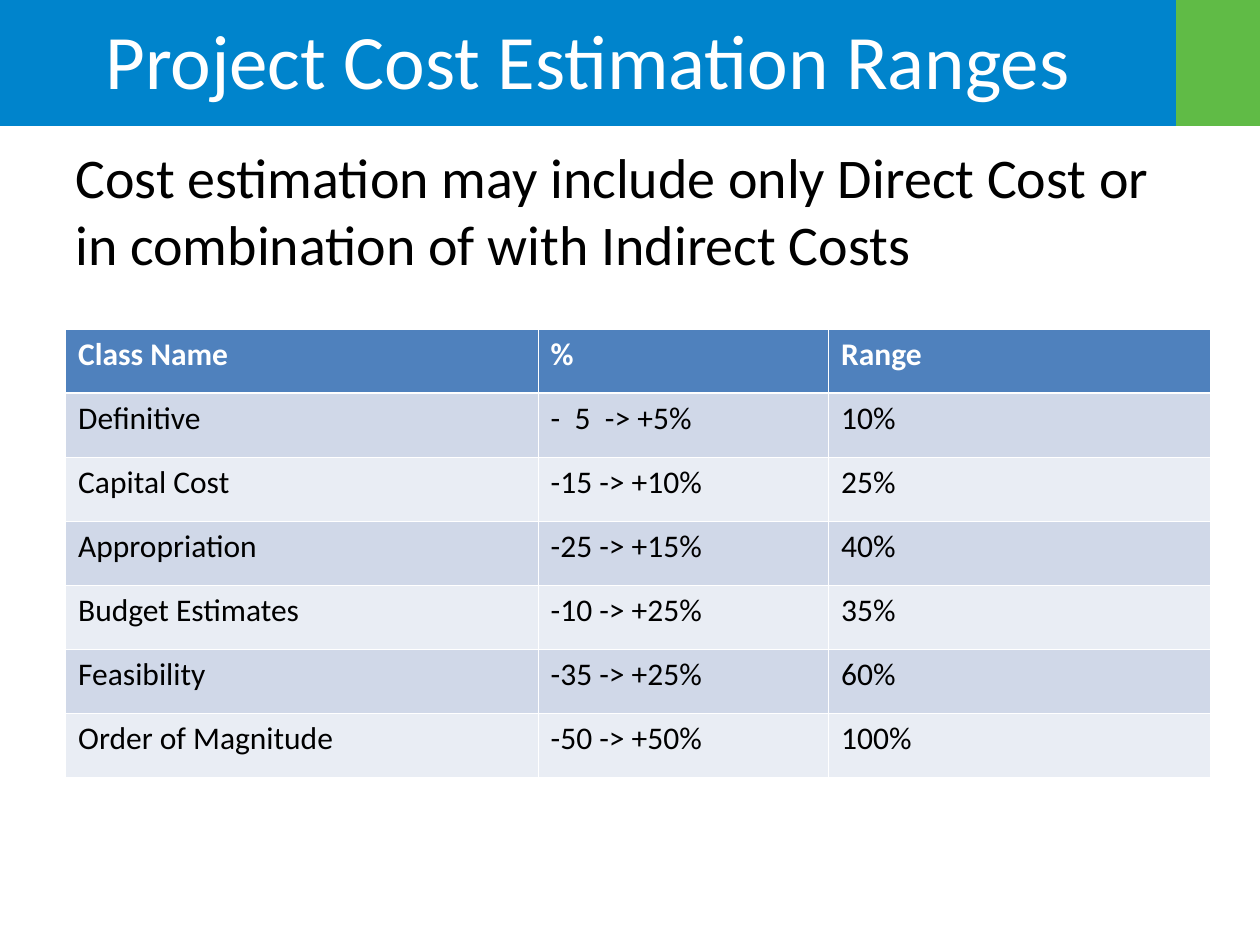
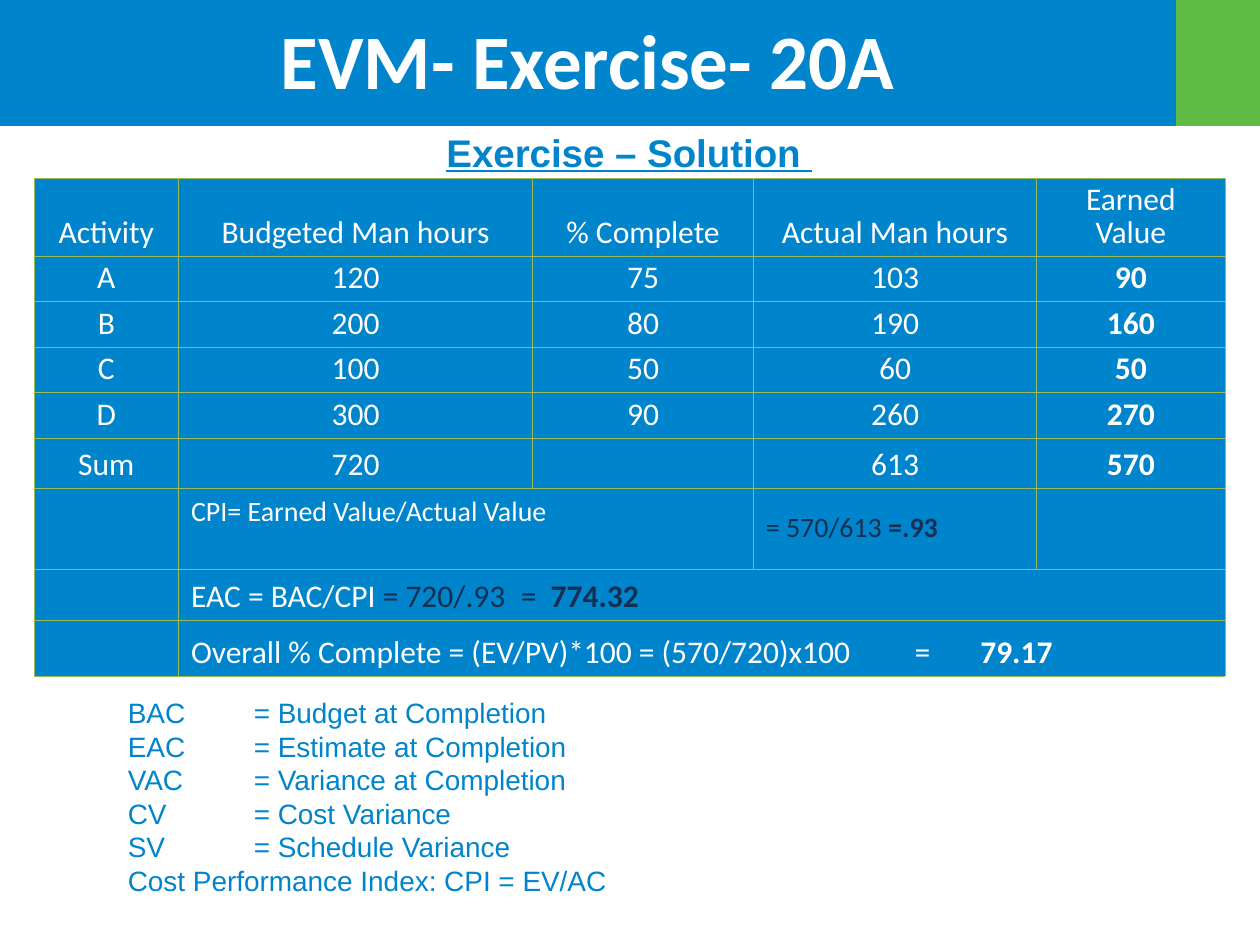
from dataclasses import dataclass

from lxml import etree
from pptx import Presentation
from pptx import util as u
from pptx.dml.color import RGBColor
from pptx.enum import shapes, text
from pptx.oxml import ns

Pt = u.Pt
LEFT, CENTER = text.PP_ALIGN.LEFT, text.PP_ALIGN.CENTER
TOP, MIDDLE, BOTTOM = text.MSO_ANCHOR.TOP, text.MSO_ANCHOR.MIDDLE, text.MSO_ANCHOR.BOTTOM


@dataclass(frozen=True)
class Theme:
    blue: str = "0084CC"
    green: str = "60BB46"
    white: str = "FFFFFF"
    black: str = "000000"
    navy: str = "142F51"
    header: str = "4F81BD"
    band_dark: str = "D0D8E8"
    band_light: str = "E9EDF4"
    olive: str = "9BBB59"
    heading_font: str = "Calibri"
    note_font: str = "Arial"
    title: float = 44
    lead: float = 32
    subtitle: float = 22
    body: float = 18
    small: float = 16
    hairline: float = 0.45
    rule: float = 1.47


THEME = Theme()


def set_all(target, values):
    for name, value in values.items():
        setattr(target, name, value)


def add_tabs(paragraph, stops):
    tab_list = etree.SubElement(paragraph._p.get_or_add_pPr(), ns.qn("a:tabLst"))
    for stop in stops:
        etree.SubElement(tab_list, ns.qn("a:tab"), pos=str(Pt(stop)), algn="l")


def write(frame, lines, font, layout=None, tabs=()):
    for index, line in enumerate(lines):
        paragraph = frame.add_paragraph() if index else frame.paragraphs[0]
        if tabs:
            add_tabs(paragraph, tabs)
        set_all(paragraph, layout or {})
        for content, changes in [(line, {})] if isinstance(line, str) else line:
            run = paragraph.add_run()
            run.text = content
            style = {"name": THEME.heading_font, "bold": False, **font, **changes}
            run.font.color.rgb = RGBColor.from_string(style.pop("color"))
            style["size"] = Pt(style["size"])
            set_all(run.font, style)


class Deck:
    def __init__(self, theme):
        self.theme = theme
        self.show = Presentation()
        set_all(self.show, {"slide_width": Pt(720), "slide_height": Pt(540)})
        self.slide = None

    def new_slide(self, title, bold=False):
        self.slide = self.show.slides.add_slide(self.show.slide_layouts[6])
        self.band(-0.5, 672.5, self.theme.blue)
        self.band(672, 48, self.theme.green)
        self.text((6, 2, 660, 63.5), [title],
                  {"size": self.theme.title, "color": self.theme.white, "bold": bold},
                  {"alignment": CENTER}, anchor=MIDDLE)

    def band(self, left, width, color):
        band = self.slide.shapes.add_shape(
            shapes.MSO_SHAPE.RECTANGLE, Pt(left), Pt(0), Pt(width), Pt(72))
        band.shadow.inherit = False
        band.fill.solid()
        band.fill.fore_color.rgb = RGBColor.from_string(color)
        band.line.fill.background()

    def text(self, place, lines, font, layout=None, tabs=(), anchor=TOP):
        frame = self.slide.shapes.add_textbox(*map(Pt, place)).text_frame
        set_all(frame, {"word_wrap": True, "vertical_anchor": anchor})
        write(frame, lines, font, layout, tabs)

    def table(self, left, top, widths, heights):
        table = self.slide.shapes.add_table(
            len(heights), len(widths), Pt(left), Pt(top),
            Pt(sum(widths)), Pt(sum(heights))).table
        table.horz_banding = False
        for column, width in zip(table.columns, widths):
            column.width = Pt(width)
        for row, height in zip(table.rows, heights):
            row.height = Pt(height)
        return table

    def cell(self, cell, content, font, fill, border, layout=None, tabs=(),
             anchor=TOP, rules=None):
        cell.vertical_anchor = anchor
        cell.fill.solid()
        cell.fill.fore_color.rgb = RGBColor.from_string(fill)
        properties = cell._tc.get_or_add_tcPr()
        for index, side in enumerate(("lnL", "lnR", "lnT", "lnB")):
            width = (rules or {}).get(side, self.theme.hairline)
            line = etree.Element(ns.qn(f"a:{side}"), w=str(Pt(width)))
            solid = etree.SubElement(line, ns.qn("a:solidFill"))
            etree.SubElement(solid, ns.qn("a:srgbClr"), val=border)
            properties.insert(index, line)
        write(cell.text_frame, [content], font, layout, tabs)


def cost_ranges(deck):
    theme = deck.theme
    deck.new_slide("Project Cost Estimation Ranges")
    deck.text((36, 78, 648, 404.5),
              ["Cost estimation may include only Direct Cost or "
               "in combination of with Indirect Costs"],
              {"size": theme.lead, "color": theme.black})
    classes = [
        ("Class Name", "%", "Range"),
        ("Definitive", "-\t5\t-> +5%", "10%"),
        ("Capital Cost", "-15 -> +10%", "25%"),
        ("Appropriation", "-25 -> +15%", "40%"),
        ("Budget Estimates", "-10 -> +25%", "35%"),
        ("Feasibility", "-35 -> +25%", "60%"),
        ("Order of Magnitude", "-50 -> +50%", "100%"),
    ]
    table = deck.table(37.5, 188, (270, 166, 218), [36.57] * len(classes))
    for row, values in enumerate(classes):
        is_header = row == 0
        fill = theme.header if is_header else (theme.band_light, theme.band_dark)[row % 2]
        font = {"size": theme.body, "bold": is_header,
                "color": theme.white if is_header else theme.black}
        rules = {0: {"lnB": theme.rule}, 1: {"lnT": theme.rule}}.get(row)
        for column, value in enumerate(values):
            deck.cell(table.cell(row, column), value, font, fill, theme.white,
                      tabs=(13.7, 31) if "\t" in value else (), rules=rules)


def earned_value(deck):
    theme = deck.theme
    deck.new_slide("EVM- Exercise- 20A", bold=True)
    activities = [
        ("Activity", "Budgeted Man hours", "% Complete", "Actual Man hours", "Earned Value"),
        ("A", "120", "75", "103", "90"),
        ("B", "200", "80", "190", "160"),
        ("C", "100", "50", "60", "50"),
        ("D", "300", "90", "260", "270"),
        ("Sum", "720", "", "613", "570"),
    ]
    table = deck.table(19.5, 102, (82.5, 202.5, 126, 162, 107.5),
                       (44.5, 26, 26, 26, 26, 28.5, 46, 29, 32))
    white = {"size": theme.body, "color": theme.white}
    small = {**white, "size": theme.small}
    strong, dark = {"bold": True}, {"color": theme.navy}
    tight = {"line_spacing": 0.85, "space_after": Pt(4.5)}
    centered = {**tight, "alignment": CENTER}

    def fill_cell(row, column, content, font=white, layout=tight, tabs=(), anchor=BOTTOM):
        deck.cell(table.cell(row, column), content, font, theme.blue, theme.olive,
                  layout, tabs, anchor)

    for row, values in enumerate(activities):
        for column, value in enumerate(values):
            earned = row > 0 and column == 4
            fill_cell(row, column, value, {**white, "bold": earned}, centered)

    for row, last in ((6, 2), (7, 4), (8, 4)):
        table.cell(row, 1).merge(table.cell(row, last))
        fill_cell(row, 0, "")
    fill_cell(6, 1, "CPI= Earned Value/Actual Value", small, {"alignment": LEFT}, anchor=TOP)
    fill_cell(6, 3, [("= 570/613 ", dark), ("=.93", {**dark, **strong})], small,
              anchor=MIDDLE)
    fill_cell(6, 4, "")
    fill_cell(7, 1, [("EAC = BAC/CPI ", {}), ("= 720/.93\t=\t", dark),
                     ("774.32", {**dark, **strong})], tabs=(188.5, 205.5))
    fill_cell(8, 1, [("Overall % Complete = (EV/PV)*100 = (570/720)x100\t=\t", {}),
                     ("79.17", strong)], tabs=(413.5, 451))

    note = {"name": theme.note_font, "color": theme.blue}
    deck.text((66, 394, 576, 122.5), [
        "BAC\t= Budget at Completion",
        "EAC\t= Estimate at Completion",
        "VAC\t= Variance at Completion",
        "CV\t= Cost Variance",
        "SV\t= Schedule Variance",
        "Cost Performance Index: CPI = EV/AC",
    ], {**note, "size": theme.small}, tabs=(72,))
    deck.text((-0.5, 70, 720, 34), ["Exercise – Solution "],
              {**note, "size": theme.subtitle, "bold": True, "underline": True},
              {"alignment": CENTER})


def main():
    deck = Deck(THEME)
    cost_ranges(deck)
    earned_value(deck)
    deck.show.save("out.pptx")


if __name__ == "__main__":
    main()
